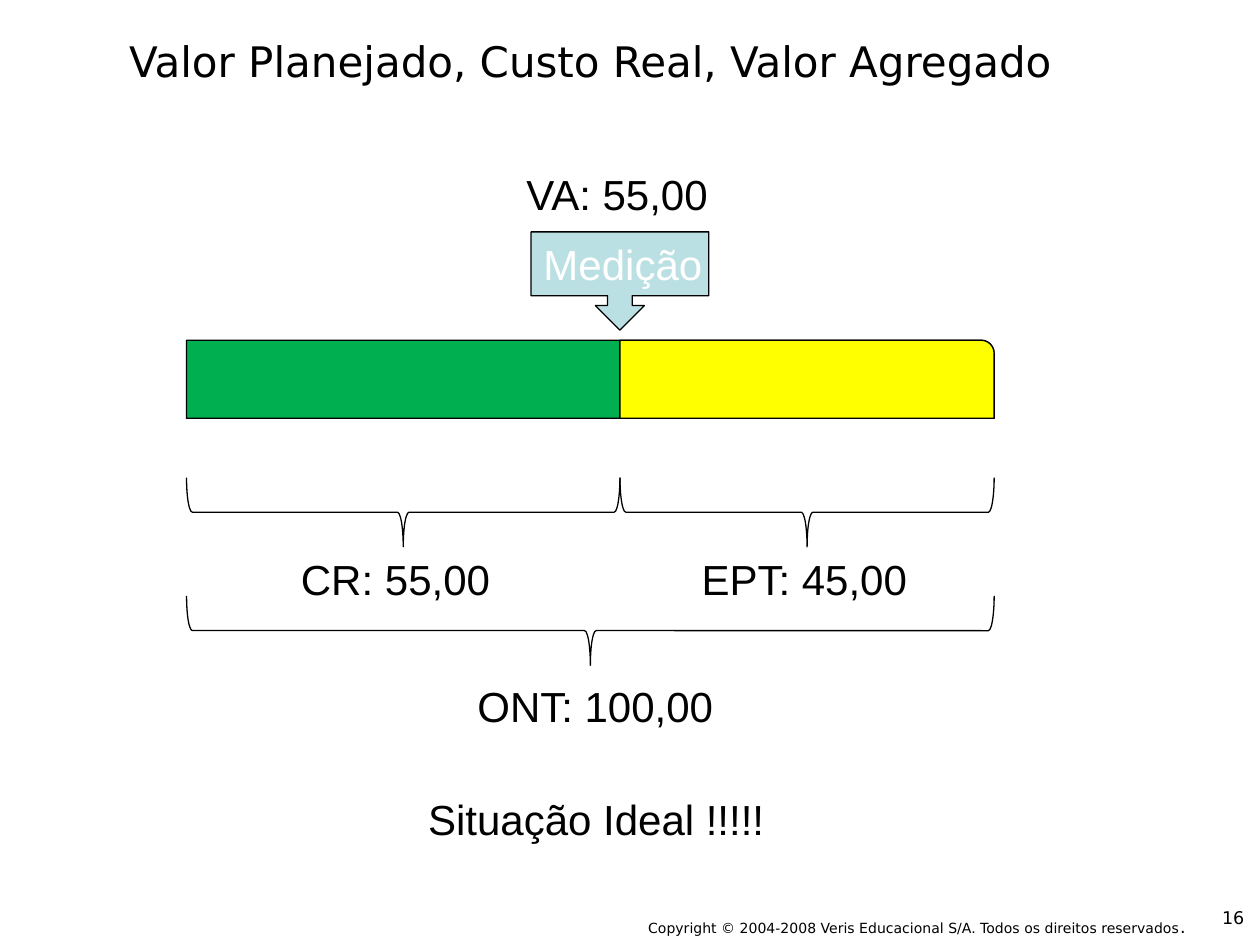
from dataclasses import dataclass

from pptx import Presentation
from pptx.dml.color import RGBColor
from pptx.enum.shapes import MSO_SHAPE
from pptx.enum.text import MSO_ANCHOR, PP_ALIGN
from pptx.util import Inches, Pt

BAR, BRACE, CALLOUT = (MSO_SHAPE.ROUND_1_RECTANGLE, MSO_SHAPE.RIGHT_BRACE,
                       MSO_SHAPE.DOWN_ARROW_CALLOUT)
TOP, MIDDLE = MSO_ANCHOR.TOP, MSO_ANCHOR.MIDDLE
LEFT, RIGHT = PP_ALIGN.LEFT, PP_ALIGN.RIGHT
COLUMNS, ROWS = 100, 75


@dataclass(frozen=True)
class Theme:
    """Colours, fonts and type sizes of the slide."""
    ink: str = "000000"
    paper: str = "FFFFFF"
    spent: str = "00B050"
    remaining: str = "FFFF00"
    marker: str = "BBE0E3"
    body_font: str = "Arial"
    frame_font: str = "DejaVu Sans"
    large: int = 24
    number: int = 10
    small: int = 8
    outline: float = 0.75


class EarnedValueSlide:
    """Draws the slide's elements on a grid of columns and rows."""

    def __init__(self, deck, theme):
        self.theme = theme
        self.slide = deck.slides.add_slide(deck.slide_layouts[6])
        self.column = deck.slide_width / COLUMNS
        self.row = deck.slide_height / ROWS

    def place(self, left, top, width, height):
        return (round(left * self.column), round(top * self.row),
                round(width * self.column), round(height * self.row))

    def set_text(self, frame, runs, font, color, align=LEFT, anchor=TOP,
                 margins=(0.1, 0.05, 0.1, 0.05), wrap=False):
        layout = dict(zip(("margin_left", "margin_top", "margin_right", "margin_bottom"),
                          map(Inches, margins)), word_wrap=wrap, vertical_anchor=anchor)
        for attribute, value in layout.items():
            setattr(frame, attribute, value)
        paragraph = frame.paragraphs[0]
        paragraph.alignment = align
        for words, size in runs:
            run = paragraph.add_run()
            run.text = words
            for attribute, value in {"name": font, "size": Pt(size)}.items():
                setattr(run.font, attribute, value)
            run.font.color.rgb = RGBColor.from_string(color)

    def label(self, words, left, top, width):
        box = self.slide.shapes.add_textbox(*self.place(left, top, width, 5))
        self.set_text(box.text_frame, [(words, self.theme.large)],
                      self.theme.body_font, self.theme.ink)

    def frame_text(self, runs, area, align=LEFT, anchor=TOP, right_margin=0):
        box = self.slide.shapes.add_textbox(*self.place(*area))
        self.set_text(box.text_frame, runs, self.theme.frame_font, self.theme.ink,
                      align, anchor, (0, 0, right_margin, 0), True)

    def outlined(self, preset, area, fill=None):
        shape = self.slide.shapes.add_shape(preset, *self.place(*area))
        shape.shadow.inherit = False
        if fill:
            shape.fill.solid()
            shape.fill.fore_color.rgb = RGBColor.from_string(fill)
        else:
            shape.fill.background()
        shape.line.color.rgb = RGBColor.from_string(self.theme.ink)
        shape.line.width = Pt(self.theme.outline)
        return shape

    def bar(self, start, end, fill):
        self.outlined(BAR, (start, 27, end - start, 6.2), fill)

    def brace(self, start, end, top, depth=5.5):
        span = end - start
        area = ((start + end - depth) / 2, top + (depth - span) / 2, depth, span)
        self.outlined(BRACE, area).rotation = 90

    def callout(self, words, center, top, width, height):
        marker = self.outlined(CALLOUT, (center - width / 2, top, width, height),
                               self.theme.marker)
        for index, share in enumerate((0.25, 0.25, 0.25, 0.65)):
            marker.adjustments[index] = share
        self.set_text(marker.text_frame, [(words, self.theme.large)],
                      self.theme.body_font, self.theme.paper)


def main():
    deck = Presentation()
    deck.slide_width, deck.slide_height = Inches(10), Inches(7.5)
    theme = Theme()
    page = EarnedValueSlide(deck, theme)
    start, measured, end = 14.8, 49.2, 78.9

    page.frame_text([("Valor Planejado, Custo Real, Valor Agregado", theme.large)],
                    (3.9, 2.3, 81.7, 5.1), RIGHT, MIDDLE, 0.21)
    page.bar(start, end, theme.spent)
    page.bar(measured, end, theme.remaining)
    for first, last, top in ((start, measured, 37.9), (measured, end, 37.9),
                             (start, end, 47.3)):
        page.brace(first, last, top)
    page.callout("Medição", measured, 18.4, 14.1, 7.8)
    for words, left, top, width in (("ONT: 100,00", 36.9, 53.5, 21.1),
                                    ("CR: 55,00", 22.9, 43.4, 17),
                                    ("EPT: 45,00", 54.7, 43.4, 18.7),
                                    ("VA: 55,00", 40.8, 12.9, 16.6),
                                    ("Situação Ideal !!!!!", 33, 62.5, 29.6)):
        page.label(words, left, top, width)
    page.frame_text([("16", theme.number)], (97, 72, 5, 2.5))
    page.frame_text([("Copyright © 2004-2008 Veris Educacional S/A. "
                      "Todos os direitos reservados", theme.small),
                     (".", theme.number)], (32, 72.7, 62.1, 1.9), RIGHT)
    deck.save("out.pptx")


if __name__ == "__main__":
    main()
